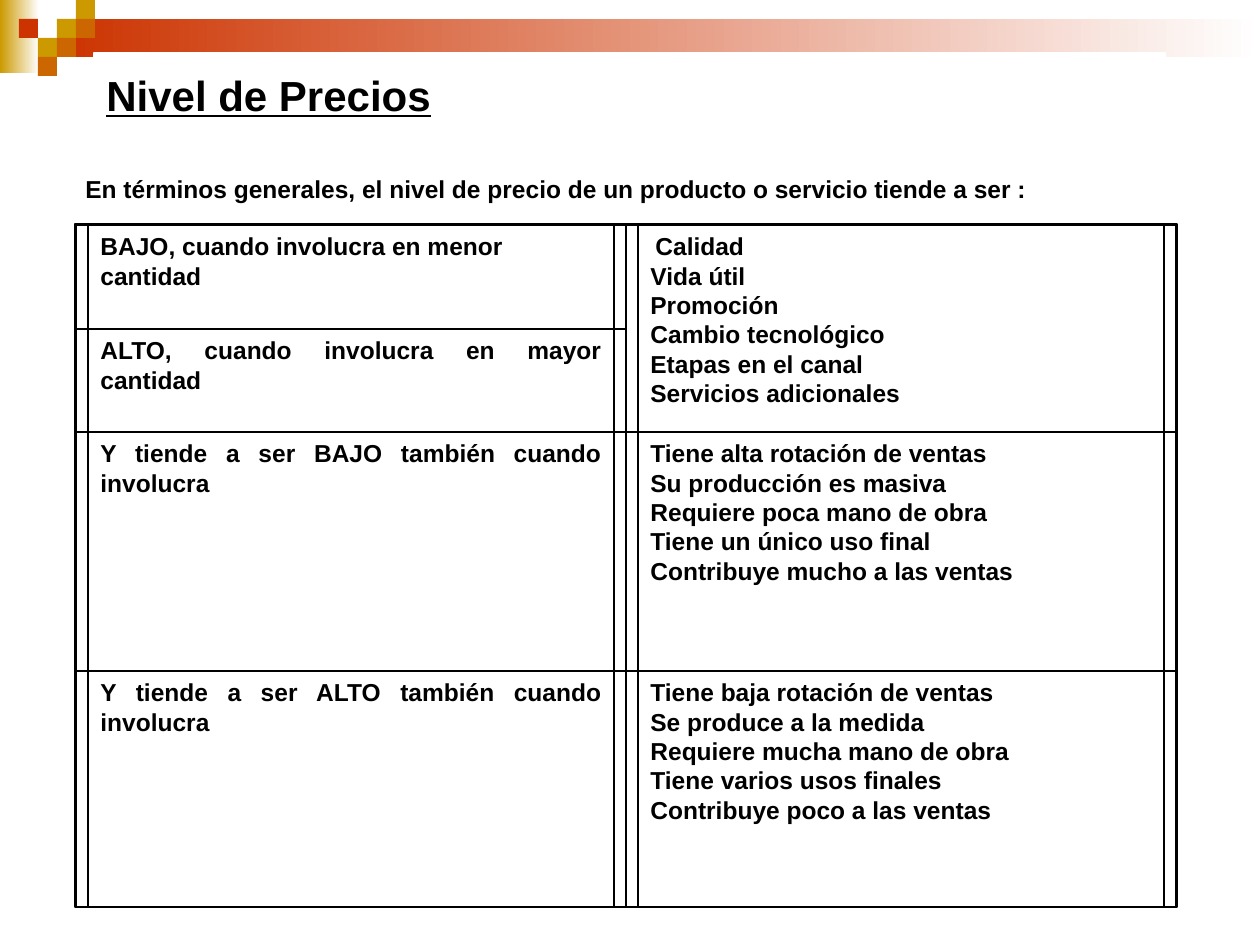
from typing import NamedTuple

from pptx import Presentation
from pptx.dml.color import RGBColor
from pptx.enum.shapes import MSO_SHAPE as Shape
from pptx.enum.text import MSO_ANCHOR as Anchor, PP_ALIGN as Align
from pptx.util import Pt

SCALE = 914400 / 126
BLACK = RGBColor(0x00, 0x00, 0x00)
WHITE = RGBColor(0xFF, 0xFF, 0xFF)
GOLD = RGBColor(0xCC, 0x99, 0x00)
RED = RGBColor(0xCC, 0x33, 0x00)
RUST = RGBColor(0xCC, 0x66, 0x00)

FONT = {"name": "Arial", "size": Pt(14), "bold": True}
HEAD = FONT | {"size": Pt(24), "underline": True}
TILE = 19
INSET = 12
WIDE = 550
LEFT, RIGHT = 76, 626
ROWS = (225, 329, 432, 671, 907)


class Box(NamedTuple):
    x: int
    y: int
    w: int
    h: int


class Tile(NamedTuple):
    col: int
    row: int
    tint: RGBColor


class Cell(NamedTuple):
    x: int
    top: int
    end: int
    lines: tuple[str, ...]
    align: Align = Align.JUSTIFY
    shift: int = 0


BANDS = ((Box(0, 0, 39, 73), GOLD), (Box(57, 19, 1203, 38), RED))

TILES = (
    Tile(3, 1, GOLD), Tile(4, 0, GOLD), Tile(4, 1, RUST), Tile(2, 2, GOLD),
    Tile(1, 1, RED), Tile(3, 2, RUST), Tile(2, 3, RUST),
)

CELLS = (
    Cell(LEFT, 0, 1, ("BAJO, cuando involucra en menor cantidad",), Align.LEFT),
    Cell(RIGHT, 0, 2, (
        "Calidad", "Vida útil", "Promoción", "Cambio tecnológico",
        "Etapas en el canal", "Servicios adicionales"), Align.LEFT, 5),
    Cell(LEFT, 1, 2, ("ALTO, cuando involucra en mayor cantidad",)),
    Cell(LEFT, 2, 3, ("Y tiende a ser BAJO también cuando involucra",)),
    Cell(RIGHT, 2, 3, (
        "Tiene alta rotación de ventas", "Su producción es masiva",
        "Requiere poca mano de obra", "Tiene un único uso final",
        "Contribuye mucho a las ventas")),
    Cell(LEFT, 3, 4, ("Y tiende a ser ALTO también cuando involucra",)),
    Cell(RIGHT, 3, 4, (
        "Tiene baja rotación de ventas", "Se produce a la medida",
        "Requiere mucha mano de obra", "Tiene varios usos finales",
        "Contribuye poco a las ventas")),
)


def emu(px: int) -> int:
    return round(px * SCALE)


def add_rect(slide, box: Box, fill=None, line=None, width: float = 0.75):
    rect = slide.shapes.add_shape(Shape.RECTANGLE, *map(emu, box))
    rect.shadow.inherit = False
    if fill is None:
        rect.fill.background()
    else:
        rect.fill.solid()
        rect.fill.fore_color.rgb = fill
    if line is None:
        rect.line.fill.background()
    else:
        rect.line.color.rgb = line
        rect.line.width = Pt(width)
    return rect


def add_band(slide, box: Box, tint: RGBColor) -> None:
    fill = add_rect(slide, box).fill
    fill.gradient()
    fill.gradient_angle = 0
    for stop, color in zip(fill.gradient_stops, (tint, WHITE)):
        stop.color.rgb = color


def write(shape, lines: tuple[str, ...], align: Align,
          font: dict = FONT, anchor: Anchor = Anchor.TOP) -> None:
    frame = shape.text_frame
    frame.word_wrap = True
    frame.vertical_anchor = anchor
    frame.text = "\n".join(lines)
    for para in frame.paragraphs:
        para.alignment = align
        for name, value in font.items():
            setattr(para.font, name, value)
        para.font.color.rgb = BLACK


def add_cell(slide, cell: Cell) -> None:
    top = ROWS[cell.top]
    high = ROWS[cell.end] - top
    inner = Box(cell.x + INSET, top, WIDE - 2 * INSET, high)
    rect = add_rect(slide, inner, line=BLACK)
    write(rect, cell.lines, cell.align)
    if cell.shift:
        first = rect.text_frame.paragraphs[0]
        first._p.get_or_add_pPr().set("indent", str(emu(cell.shift)))
    add_rect(slide, Box(cell.x, top, WIDE, high), line=BLACK, width=0)


def main() -> None:
    deck = Presentation()
    deck.slide_width, deck.slide_height = emu(1260), emu(945)
    slide = deck.slides.add_slide(deck.slide_layouts[6])

    for box, tint in BANDS:
        add_band(slide, box, tint)
    for tile in TILES:
        spot = Box(tile.col * TILE, tile.row * TILE, TILE, TILE)
        add_rect(slide, spot, tile.tint)

    title = add_rect(slide, Box(94, 53, 1071, 83), WHITE, WHITE)
    write(title, ("Nivel de Precios",), Align.LEFT, HEAD, Anchor.MIDDLE)
    intro = slide.shapes.add_textbox(*map(emu, Box(73, 168, 1071, 72)))
    write(intro, ("En términos generales, el nivel de precio de un producto "
                  "o servicio tiende a ser :",), Align.JUSTIFY)

    for cell in CELLS:
        add_cell(slide, cell)
    frame = Box(LEFT - 1, ROWS[0] - 1, 2 * WIDE + 2, ROWS[-1] - ROWS[0] + 1)
    add_rect(slide, frame, line=BLACK, width=0.87)
    deck.save("out.pptx")


if __name__ == "__main__":
    main()
